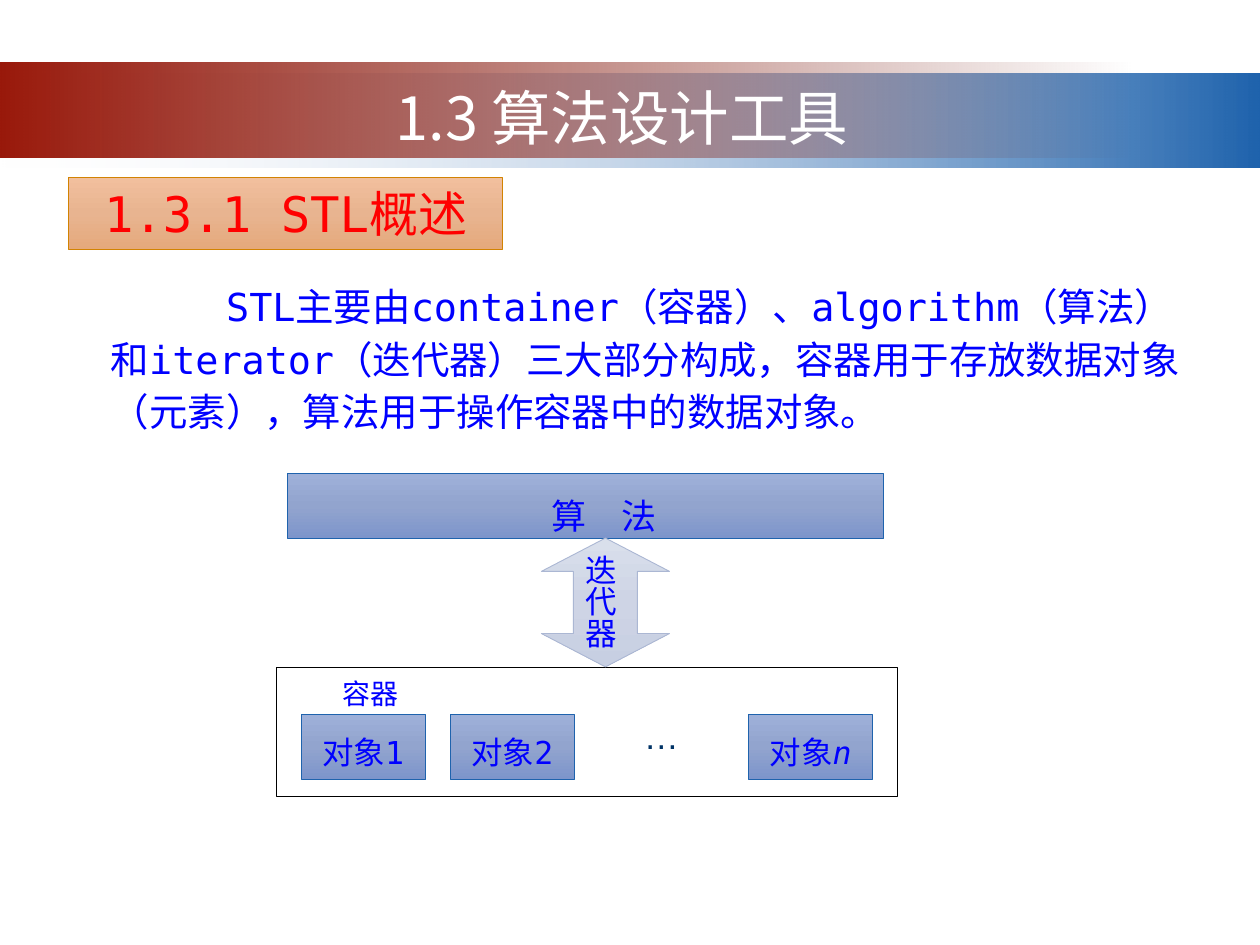
from lxml.etree import SubElement
from pptx import Presentation
from pptx.dml.color import RGBColor
from pptx.enum.lang import MSO_LANGUAGE_ID
from pptx.enum.shapes import MSO_SHAPE
from pptx.enum.text import MSO_ANCHOR, MSO_AUTO_SIZE, PP_ALIGN
from pptx.oxml.ns import qn
from pptx.util import Pt

WHITE = RGBColor(0xFF, 0xFF, 0xFF)
BLACK = RGBColor(0x00, 0x00, 0x00)
RED = RGBColor(0xFF, 0x00, 0x00)
BLUE = RGBColor(0x00, 0x00, 0xFF)
NAVY = RGBColor(0x00, 0x33, 0x66)
EDGE_BLUE = RGBColor(0x1F, 0x63, 0xAD)
EDGE_ORANGE = RGBColor(0xD2, 0x83, 0x02)
EDGE_ARROW = RGBColor(0xAB, 0xB7, 0xD3)
PALE = RGBColor(0xF1, 0xF2, 0xF7)
BRICK = RGBColor(0x99, 0x19, 0x0B)
MAROON = RGBColor(0x6D, 0x12, 0x08)
ORANGE_FILL = [RGBColor(0xF1, 0xBF, 0x9D), RGBColor(0xE8, 0xB4, 0x90), RGBColor(0xE5, 0xA9, 0x7C)]
BLUE_FILL = [RGBColor(0x9E, 0xB0, 0xD9), RGBColor(0x92, 0xA4, 0xCE), RGBColor(0x7D, 0x95, 0xCB)]
ARROW_FILL = [RGBColor(0xD9, 0xDF, 0xEB), RGBColor(0xCE, 0xD4, 0xE5), RGBColor(0xC7, 0xCF, 0xE2)]
MONO, CJK, SANS = "DejaVu Sans Mono", "Noto Sans CJK SC", "Arial"


def add_box(shapes, box, colors, edge=None, line_width=0.5, kind=MSO_SHAPE.RECTANGLE, angle=90, clear=None):
    """Add a shape with an even gradient (one colour: solid); clear is the index of a transparent stop."""
    shape = shapes.add_shape(kind, *[Pt(length) for length in box])
    shape.shadow.inherit = False
    if len(colors) == 1:
        shape.fill.solid()
        shape.fill.fore_color.rgb = colors[0]
    else:
        shape.fill.gradient()
        gradient = shape._element.spPr.find(qn("a:gradFill"))
        for child in list(gradient):
            gradient.remove(child)
        stops = SubElement(gradient, qn("a:gsLst"))
        for index, color in enumerate(colors):
            stop = SubElement(stops, qn("a:gs"), pos=str(100000 * index // (len(colors) - 1)))
            color_element = SubElement(stop, qn("a:srgbClr"), val=str(color))
            if index == clear:
                SubElement(color_element, qn("a:alpha"), val="0")
        SubElement(gradient, qn("a:lin"), ang=str(angle * 60000), scaled="0")
    if edge is None:
        shape.line.fill.background()
    else:
        shape.line.color.rgb = edge
        shape.line.width = Pt(line_width)
    return shape


def write(shape, text, size, color=BLUE, name=MONO, spacing=None, indent=0,
          align=PP_ALIGN.CENTER, inset=0, wrap=True, italic_end=""):
    frame = shape.text_frame
    frame_format = {"word_wrap": wrap, "auto_size": MSO_AUTO_SIZE.NONE, "vertical_anchor": MSO_ANCHOR.TOP,
                    "margin_left": Pt(2 * inset), "margin_right": Pt(2 * inset),
                    "margin_top": Pt(inset), "margin_bottom": Pt(inset)}
    for key, value in frame_format.items():
        setattr(frame, key, value)
    paragraph = frame.paragraphs[0]
    paragraph._p.get_or_add_pPr().set("indent", str(Pt(indent)))
    paragraph.alignment = align
    paragraph.space_before = Pt(0)
    paragraph.line_spacing = spacing
    for part, italic in ((text, False), (italic_end, True)):
        if part:
            run = paragraph.add_run()
            run.text = part
            font_format = {"size": Pt(size), "name": name, "italic": italic,
                           "language_id": MSO_LANGUAGE_ID.SIMPLIFIED_CHINESE}
            for key, value in font_format.items():
                setattr(run.font, key, value)
            run.font.color.rgb = color
            SubElement(run._r.get_or_add_rPr(), qn("a:ea"), typeface=CJK)


presentation = Presentation()
presentation.slide_width, presentation.slide_height = Pt(720), Pt(540)
slide = presentation.slides.add_slide(presentation.slide_layouts[5])

# Title band
add_box(slide.shapes, (0, 41.8, 720, 54), [PALE, EDGE_BLUE], angle=0, clear=0)
add_box(slide.shapes, (0, 36, 648, 54), [BRICK, MAROON], angle=0, clear=1)
title = slide.shapes.title
for key, value in {"left": 180, "top": 46.2, "width": 350.6, "height": 48.2}.items():
    setattr(title, key, Pt(value))
write(title, "1.3 算法设计工具", 34, WHITE, CJK, wrap=False)
slide.shapes._spTree.append(title._element)

# Section heading and paragraph
heading = add_box(slide.shapes, (39.4, 101.5, 247.7, 41), ORANGE_FILL, EDGE_ORANGE)
write(heading, "1.3.1 STL概述", 28, RED, inset=3.6)
body = slide.shapes.add_textbox(Pt(56.2), Pt(154.8), Pt(635.8), Pt(95.8))
write(body, "STL主要由container（容器）、algorithm（算法）和iterator（迭代器）三大部分构成，"
      "容器用于存放数据对象（元素），算法用于操作容器中的数据对象。",
      22, spacing=Pt(30), indent=66, align=PP_ALIGN.LEFT, inset=3.6)

# Diagram: algorithm, iterator, container
diagram = slide.shapes.add_group_shape().shapes
add_box(diagram, (158, 381.6, 355, 73.4), [WHITE], BLACK, 0.75)
algorithm = add_box(diagram, (164.2, 270.7, 340.4, 37), BLUE_FILL, EDGE_BLUE)
write(algorithm, "算\u3000法", 20, spacing=1.5, indent=21.6)

for column, (text, italic_end) in enumerate([("对象1", ""), ("对象2", ""), ("…", ""), ("对象", "n")]):
    box = (172.1 + 85.2 * column, 408.2, 70.9, 37)
    if text == "…":
        write(add_box(diagram, box, [WHITE]), text, 20, NAVY, SANS)
    else:
        write(add_box(diagram, box, BLUE_FILL, EDGE_BLUE), text, 18, spacing=1.5, italic_end=italic_end)

iterator = add_box(diagram, (309.4, 307.5, 73.2, 73.6), ARROW_FILL, EDGE_ARROW, kind=MSO_SHAPE.UP_DOWN_ARROW)
guides = iterator._element.spPr.find(qn("a:prstGeom")).find(qn("a:avLst"))
for guide in list(guides):
    guides.remove(guide)
for guide_name, value in (("adj1", 50000), ("adj2", 26000)):
    SubElement(guides, qn("a:gd"), name=guide_name, fmla=f"val {value}")
write(iterator, "迭代器", 18, spacing=1.5)
iterator.text_frame._txBody.bodyPr.set("vert", "eaVert")
container_label = add_box(diagram, (191.3, 386.6, 41, 18), [WHITE])
write(container_label, "容器", 16)

presentation.save("out.pptx")
